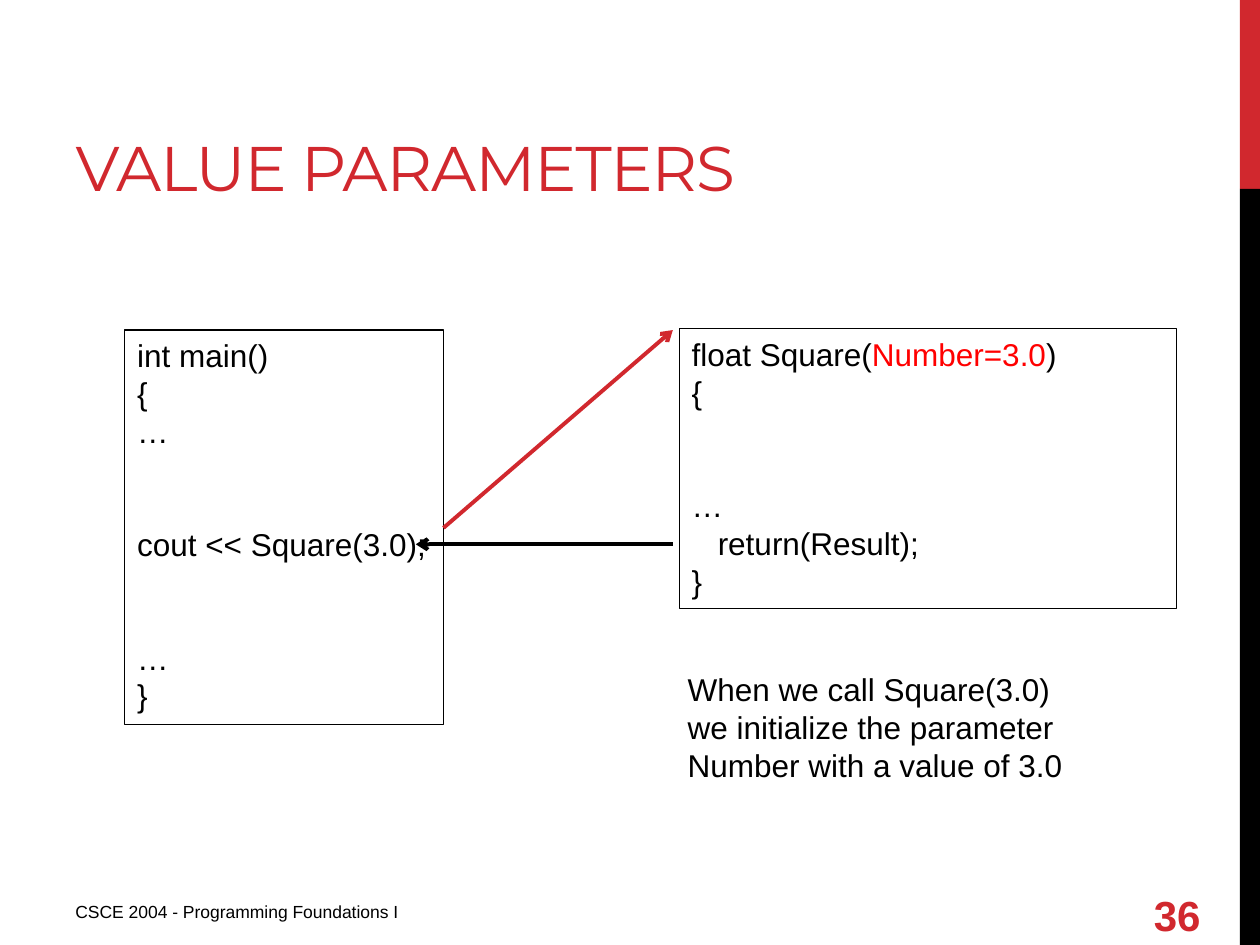
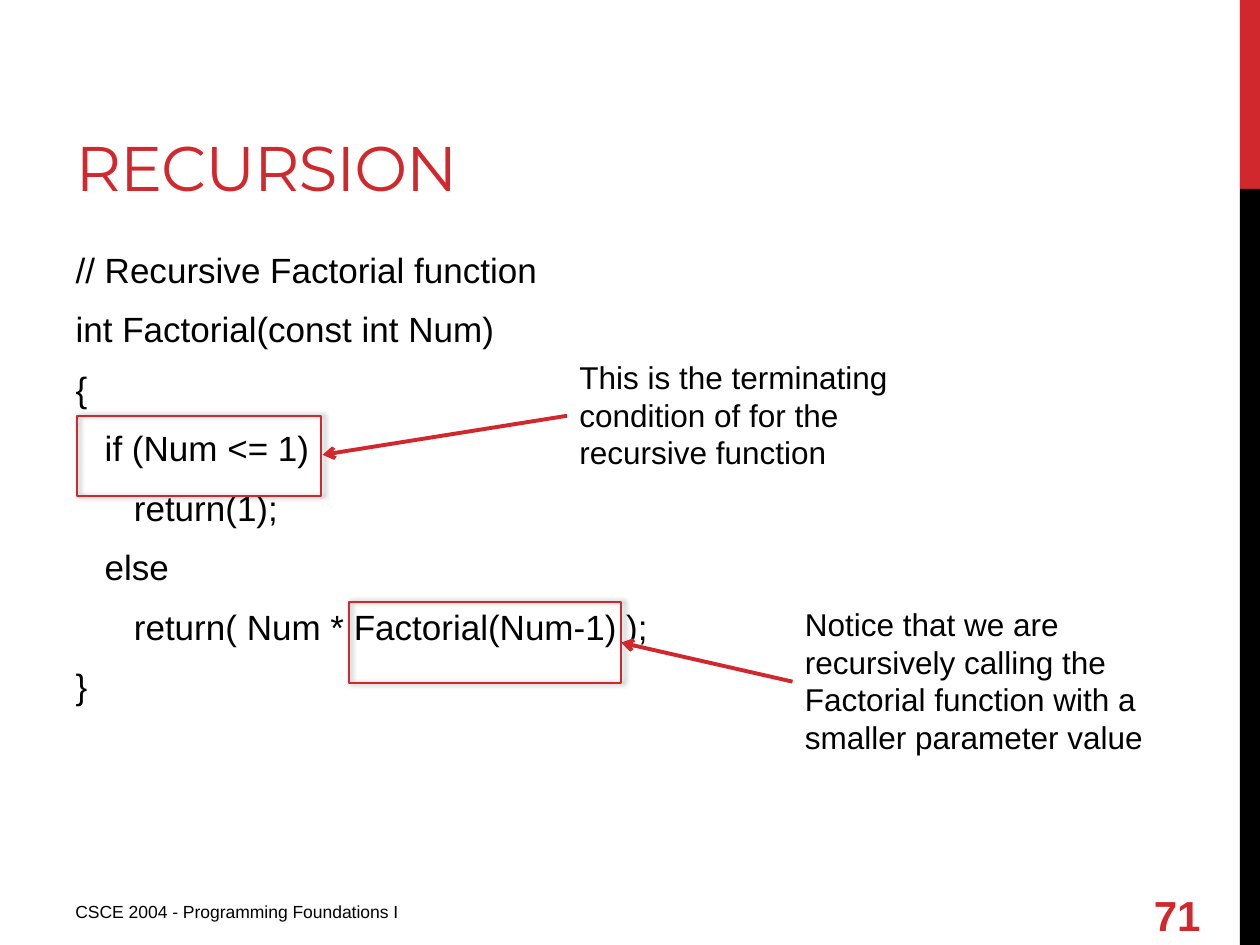
from dataclasses import dataclass

from pptx import Presentation
from pptx.dml.color import RGBColor
from pptx.enum.shapes import MSO_CONNECTOR, MSO_SHAPE
from pptx.enum.text import MSO_ANCHOR, MSO_AUTO_SIZE, PP_ALIGN
from pptx.oxml import parse_xml
from pptx.oxml.ns import nsdecls
from pptx.util import Emu, Pt

RECTANGLE = MSO_SHAPE.RECTANGLE
STRAIGHT = MSO_CONNECTOR.STRAIGHT
TOP, MIDDLE, BOTTOM = MSO_ANCHOR.TOP, MSO_ANCHOR.MIDDLE, MSO_ANCHOR.BOTTOM
LEFT = PP_ALIGN.LEFT
NO_FIT = MSO_AUTO_SIZE.NONE

EMU_PER_PX = 9144
COLORS = {"accent": "D1282E", "black": "000000", "highlight": "FF0000"}
TITLE_FONT, TEXT_FONT = "Montserrat", "Arial"
TITLE_LAYOUT, BODY_LAYOUT = 5, 1
LINE_HEIGHT = 1.2
COURSE = "CSCE 2004 - Programming Foundations I"


@dataclass(frozen=True)
class Area:
    left: int
    top: int
    width: int
    height: int


@dataclass(frozen=True)
class Span:
    text: str
    color: str = "black"


@dataclass(frozen=True)
class Line:
    spans: tuple[Span, ...]
    skipped: int = 0


@dataclass(frozen=True)
class Arrow:
    start: tuple[int, int]
    end: tuple[int, int]
    color: str = "accent"


@dataclass(frozen=True)
class Note:
    area: Area
    text: str


TITLE_AREA = Area(50, 17, 633, 150)
BODY_AREA = Area(50, 192, 833, 478)
FOOTER_AREA = Area(50, 710, 375, 31)
NUMBER_AREA = Area(906, 706, 74, 40)
BANDS = ((Area(984, 0, 16, 150), "accent"), (Area(984, 150, 16, 600), "black"))

MAIN_CODE = (
    Line((Span("int main()"),)),
    Line((Span("{"),)),
    Line((Span("…"),)),
    Line((Span("cout << Square(3.0);"),), skipped=2),
    Line((Span("…"),), skipped=2),
    Line((Span("}"),)),
)
SQUARE_CODE = (
    Line((Span("float Square("), Span("Number=3.0", "highlight"), Span(")"))),
    Line((Span("{"),)),
    Line((Span("…"),), skipped=2),
    Line((Span("   return(Result);"),)),
    Line((Span("}"),)),
)
CODE_BOXES = ((Area(99, 262, 253, 313), MAIN_CODE), (Area(539, 261, 395, 222), SQUARE_CODE))
CALL_ARROWS = (
    Arrow((352, 419), (534, 262)),
    Arrow((534, 432), (330, 432), "black"),
)
CALL_NOTE = Note(
    Area(536, 527, 346, 101),
    "When we call Square(3.0) we initialize the parameter Number with a value of 3.0",
)

FACTORIAL_CODE = """// Recursive Factorial function
int Factorial(const int Num)
{
   if (Num <= 1)
      return(1);
   else
      return( Num * Factorial(Num-1) );
}"""
CALLOUTS = (
    (
        Area(61, 330, 194, 64),
        Note(Area(450, 279, 292, 101),
             "This is the terminating condition of for the recursive function"),
        Arrow((450, 330), (256, 361)),
    ),
    (
        Area(277, 478, 216, 64),
        Note(Area(629, 475, 292, 131),
             "Notice that we are recursively calling the Factorial function "
             "with a smaller parameter value"),
        Arrow((629, 541), (493, 510)),
    ),
)


def px(length: int) -> Emu:
    return Emu(length * EMU_PER_PX)


def rgb(name: str) -> RGBColor:
    return RGBColor.from_string(COLORS[name])


def frame_of(area: Area) -> tuple[Emu, Emu, Emu, Emu]:
    return px(area.left), px(area.top), px(area.width), px(area.height)


def place(shape, area: Area) -> None:
    shape.left, shape.top, shape.width, shape.height = frame_of(area)


def plain_lines(text: str, color: str = "black") -> tuple[Line, ...]:
    return tuple(Line((Span(row, color),)) for row in text.split("\n"))


def write(shape, lines, *, size: int = 18, font: str = TEXT_FONT, bold: bool = False,
          anchor=TOP, before: float = 0, after: float = 0, tracking: int = 0,
          fixed_height: bool = True) -> None:
    frame = shape.text_frame
    frame.word_wrap = True
    frame.auto_size = NO_FIT
    frame.vertical_anchor = anchor
    line_height = size * LINE_HEIGHT
    for index, line in enumerate(lines):
        para = frame.add_paragraph() if index else frame.paragraphs[0]
        para.alignment = LEFT
        para.space_before = Pt(before + line.skipped * line_height if index else 0)
        para.space_after = Pt(after)
        para.line_spacing = Pt(line_height) if fixed_height else 1.0
        for part in line.spans:
            span = para.add_run()
            span.text = part.text
            span.font.name = font
            span.font.size = Pt(size)
            span.font.bold = bold
            span.font.color.rgb = rgb(part.color)
            if tracking:
                span.font._element.set("spc", str(tracking))


def add_text(page, area: Area, lines, **text_format) -> None:
    box = page.shapes.add_textbox(*frame_of(area))
    write(box, lines, **text_format)


def add_note(page, note: Note) -> None:
    add_text(page, note.area, plain_lines(note.text))


def add_band(page, area: Area, color: str) -> None:
    band = page.shapes.add_shape(RECTANGLE, *frame_of(area))
    band.shadow.inherit = False
    band.fill.solid()
    band.fill.fore_color.rgb = rgb(color)
    band.line.fill.background()


def add_outline(page, area: Area, color: str, width: float):
    outline = page.shapes.add_shape(RECTANGLE, *frame_of(area))
    outline.fill.background()
    outline.line.color.rgb = rgb(color)
    outline.line.width = Pt(width)
    outline.shadow.inherit = False
    return outline


def add_highlight(page, area: Area) -> None:
    outline = add_outline(page, area, "accent", 1)
    effects = outline._element.spPr.find(".//{*}effectLst")
    effects.append(parse_xml(
        f'<a:outerShdw {nsdecls("a")} blurRad="{Pt(3.1)}" dist="{Pt(1.8)}" dir="0" '
        f'rotWithShape="0"><a:srgbClr val="{COLORS["black"]}">'
        '<a:alpha val="40000"/></a:srgbClr></a:outerShdw>'
    ))


def add_arrow(page, arrow: Arrow) -> None:
    ends = (px(value) for value in arrow.start + arrow.end)
    connector = page.shapes.add_connector(STRAIGHT, *ends)
    connector.line.color.rgb = rgb(arrow.color)
    connector.line.width = Pt(2.25)
    connector.line._get_or_add_ln().append(
        parse_xml(f'<a:tailEnd {nsdecls("a")} type="arrow"/>'))
    connector._element.spPr.append(parse_xml(f'<a:effectLst {nsdecls("a")}/>'))


def add_page(deck, layout: int, title: str, number: int):
    page = deck.slides.add_slide(deck.slide_layouts[layout])
    place(page.shapes.title, TITLE_AREA)
    write(page.shapes.title, plain_lines(title, "accent"), size=36, font=TITLE_FONT,
          anchor=BOTTOM, tracking=-60, fixed_height=False)
    for area, color in BANDS:
        add_band(page, area, color)
    add_text(page, FOOTER_AREA, plain_lines(COURSE), size=10)
    add_text(page, NUMBER_AREA, plain_lines(str(number), "accent"), size=24, bold=True,
             anchor=MIDDLE)
    return page


def add_code_body(page, code: str) -> None:
    body = page.placeholders[1]
    place(body, BODY_AREA)
    write(body, plain_lines(code), size=20, before=4, after=6)
    for para in body.text_frame.paragraphs:
        properties = para._p.get_or_add_pPr()
        properties.set("marL", "0")
        properties.set("indent", "0")
        properties.append(parse_xml(f'<a:buNone {nsdecls("a")}/>'))


def build_value_parameters(deck) -> None:
    page = add_page(deck, TITLE_LAYOUT, "VALUE PARAMETERS", 36)
    for area, code in CODE_BOXES:
        write(add_outline(page, area, "black", 0.75), code)
    for arrow in CALL_ARROWS:
        add_arrow(page, arrow)
    add_note(page, CALL_NOTE)


def build_recursion(deck) -> None:
    page = add_page(deck, BODY_LAYOUT, "RECURSION", 71)
    add_code_body(page, FACTORIAL_CODE)
    for highlight, note, arrow in CALLOUTS:
        add_highlight(page, highlight)
        add_note(page, note)
        add_arrow(page, arrow)


def main() -> None:
    deck = Presentation()
    deck.slide_width, deck.slide_height = px(1000), px(750)
    build_value_parameters(deck)
    build_recursion(deck)
    deck.save("out.pptx")


if __name__ == "__main__":
    main()
